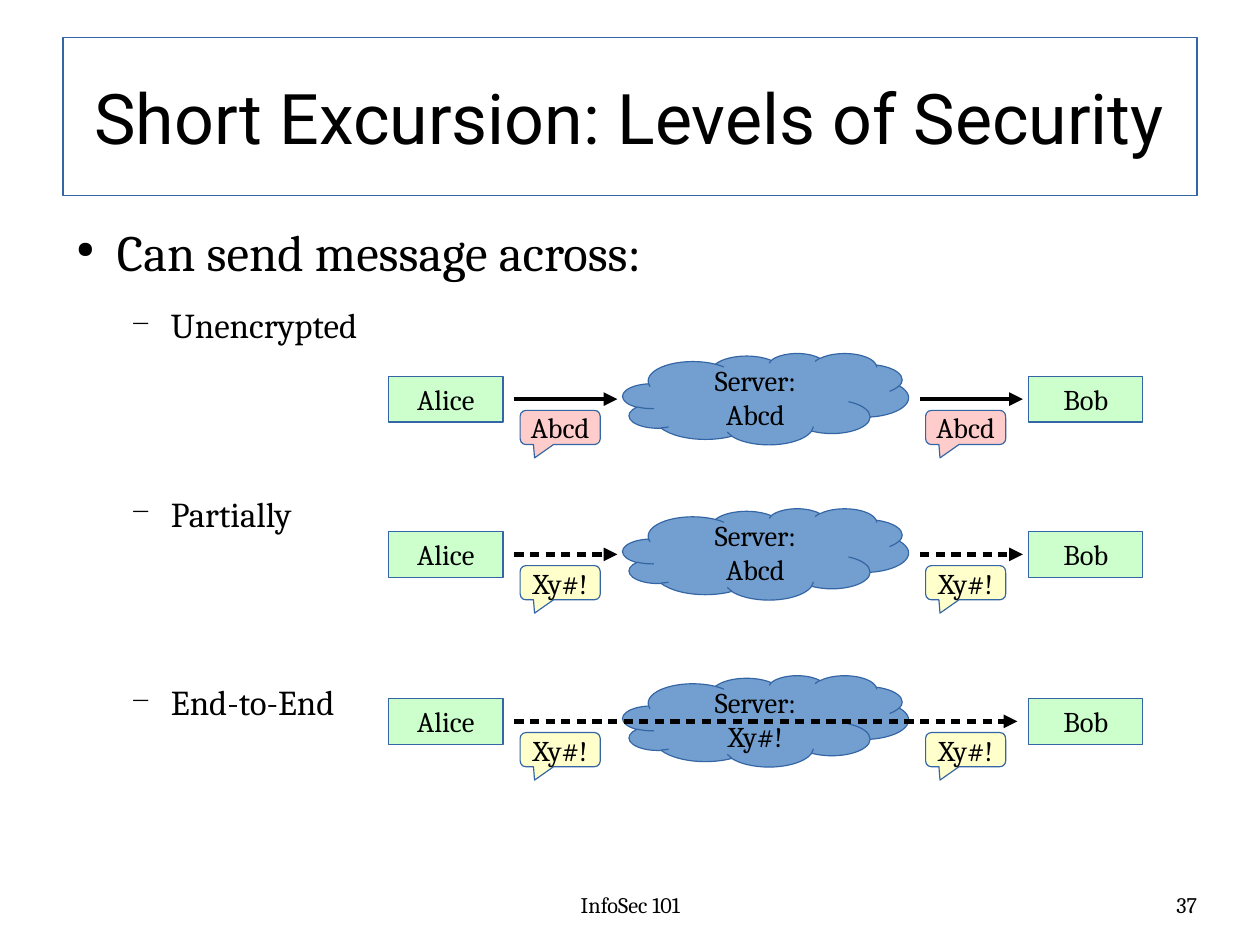
from dataclasses import dataclass

from lxml.etree import SubElement
from pptx import Presentation
from pptx.dml.color import RGBColor
from pptx.enum.shapes import MSO_CONNECTOR, MSO_SHAPE
from pptx.enum.text import MSO_ANCHOR, MSO_AUTO_SIZE, PP_ALIGN
from pptx.oxml.ns import qn
from pptx.shapes.autoshape import Shape
from pptx.slide import Slide
from pptx.text.text import TextFrame
from pptx.util import Cm, Pt

BLACK = RGBColor(0x00, 0x00, 0x00)
OUTLINE = RGBColor(0x34, 0x65, 0xA4)
CLOUD_BLUE = RGBColor(0x72, 0x9F, 0xCF)
PERSON_GREEN = RGBColor(0xCC, 0xFF, 0xCC)
PLAIN_PINK = RGBColor(0xFF, 0xCC, 0xCC)
CIPHER_YELLOW = RGBColor(0xFF, 0xFF, 0xCC)

TITLE_FONT = "Roboto"
TEXT_FONT = "Cambria"
PLAIN, CIPHER = "Abcd", "Xy#!"
SHORT_ARROWS = ((11.43, 13.72), (20.45, 22.73))
THROUGH_ARROW = ((11.43, 22.61),)


@dataclass(frozen=True)
class Bullet:
    text: str
    level: int
    size: float
    symbol: str
    symbol_percent: int
    before: float
    after: float


@dataclass(frozen=True)
class Exchange:
    """One message from Alice to Bob; top is the upper edge of their boxes in cm."""
    top: float
    sent: str
    seen_by_server: str
    bubble_fill: RGBColor
    dashed: bool
    arrows: tuple[tuple[float, float], ...]


BULLETS = (
    Bullet("Can send message across:", 0, 32, "●", 45, 0, 14.2),
    Bullet("Unencrypted", 1, 22, "−", 75, 0, 11.3),
    Bullet("Partially", 1, 22, "−", 75, 81, 11.3),
    Bullet("End-to-End", 1, 22, "−", 75, 81, 11.3),
)
EXCHANGES = (
    Exchange(8.36, PLAIN, PLAIN, PLAIN_PINK, False, SHORT_ARROWS),
    Exchange(11.81, CIPHER, PLAIN, CIPHER_YELLOW, True, SHORT_ARROWS),
    Exchange(15.52, CIPHER, CIPHER, CIPHER_YELLOW, True, THROUGH_ARROW),
)


def clear_margins(frame: TextFrame) -> None:
    frame.margin_left = frame.margin_right = frame.margin_top = frame.margin_bottom = 0


def format_text(frame: TextFrame, size: float, align: PP_ALIGN, font: str = TEXT_FONT) -> None:
    for para in frame.paragraphs:
        para.alignment = align
        for span in para.runs:
            span.font.name = font
            span.font.size = Pt(size)
            span.font.color.rgb = BLACK


def add_title(page: Slide, text: str) -> None:
    title = page.shapes.title
    title.left, title.top, title.width, title.height = Cm(1.4), Cm(0.84), Cm(25.2), Cm(3.5)
    title.line.color.rgb = OUTLINE
    title.line.width = Pt(0.79)
    frame = title.text_frame
    frame.text = text
    frame.word_wrap = True
    frame.auto_size = MSO_AUTO_SIZE.NONE
    frame.vertical_anchor = MSO_ANCHOR.MIDDLE
    clear_margins(frame)
    format_text(frame, 44, PP_ALIGN.CENTER, TITLE_FONT)


def add_text_box(page: Slide, left: float, top: float, width: float, height: float) -> TextFrame:
    frame = page.shapes.add_textbox(Cm(left), Cm(top), Cm(width), Cm(height)).text_frame
    frame.word_wrap = True
    clear_margins(frame)
    return frame


def add_bullets(page: Slide) -> None:
    frame = add_text_box(page, 1.4, 4.9, 25.2, 14.15)
    frame.text = "\n".join(bullet.text for bullet in BULLETS)
    for para, bullet in zip(frame.paragraphs, BULLETS):
        para.level = bullet.level
        para.space_before = Pt(bullet.before)
        para.space_after = Pt(bullet.after)
        properties = para._p.get_or_add_pPr()
        properties.set("marL", str(Cm(1.2 * (bullet.level + 1))))
        properties.set("indent", str(-Cm(0.9)))
        colour = SubElement(properties, qn("a:buClr"))
        SubElement(colour, qn("a:srgbClr"), val=str(BLACK))
        SubElement(properties, qn("a:buSzPct"), val=str(bullet.symbol_percent * 1000))
        SubElement(properties, qn("a:buChar"), char=bullet.symbol)
        para.alignment = PP_ALIGN.LEFT
        for span in para.runs:
            span.font.name = TEXT_FONT
            span.font.size = Pt(bullet.size)
            span.font.color.rgb = BLACK


def add_labelled_shape(page: Slide, kind: MSO_SHAPE, left: float, top: float, width: float,
                       height: float, fill: RGBColor, text: str) -> Shape:
    shape = page.shapes.add_shape(kind, Cm(left), Cm(top), Cm(width), Cm(height))
    shape.shadow.inherit = False
    shape.fill.solid()
    shape.fill.fore_color.rgb = fill
    shape.line.color.rgb = OUTLINE
    shape.line.width = Pt(0)
    frame = shape.text_frame
    frame.text = text
    frame.word_wrap = False
    frame.vertical_anchor = MSO_ANCHOR.MIDDLE
    format_text(frame, 18, PP_ALIGN.CENTER)
    return shape


def add_arrow(page: Slide, start: float, end: float, height: float, dashed: bool) -> None:
    arrow = page.shapes.add_connector(
        MSO_CONNECTOR.STRAIGHT, Cm(start), Cm(height), Cm(end), Cm(height))
    arrow.line.color.rgb = BLACK
    arrow.line.width = Pt(2.89)
    line = arrow.line._get_or_add_ln()
    if dashed:
        pattern = SubElement(line, qn("a:custDash"))
        SubElement(pattern, qn("a:ds"), d="200000", sp="140000")
    SubElement(line, qn("a:tailEnd"), type="triangle")
    SubElement(arrow._element.spPr, qn("a:effectLst"))


def add_exchange(page: Slide, exchange: Exchange) -> None:
    top = exchange.top
    for name, left in (("Alice", 8.64), ("Bob", 22.86)):
        add_labelled_shape(page, MSO_SHAPE.RECTANGLE, left, top, 2.54, 1.02, PERSON_GREEN, name)
    add_labelled_shape(page, MSO_SHAPE.CLOUD, 13.84, top - 0.51, 6.35, 2.03, CLOUD_BLUE,
                       f"Server:\n{exchange.seen_by_server}")
    for start, end in exchange.arrows:
        add_arrow(page, start, end, top + 0.51, exchange.dashed)
    for left in (11.56, 20.57):
        bubble = add_labelled_shape(page, MSO_SHAPE.ROUNDED_RECTANGULAR_CALLOUT, left, top + 0.76,
                                    1.78, 0.76, exchange.bubble_fill, exchange.sent)
        for index, value in enumerate((-0.32, 0.89, 0.17)):
            bubble.adjustments[index] = value


def add_footer(page: Slide, left: float, width: float, text: str, align: PP_ALIGN) -> None:
    frame = add_text_box(page, left, 19.81, width, 0.76)
    frame.text = text
    format_text(frame, 14, align)


def main() -> None:
    deck = Presentation()
    deck.slide_width, deck.slide_height = Cm(28), Cm(21)
    page = deck.slides.add_slide(deck.slide_layouts.get_by_name("Title Only"))
    add_title(page, "Short Excursion: Levels of Security")
    add_bullets(page)
    for exchange in EXCHANGES:
        add_exchange(page, exchange)
    add_footer(page, 9.58, 8.86, "InfoSec 101", PP_ALIGN.CENTER)
    add_footer(page, 20.07, 6.53, "37", PP_ALIGN.RIGHT)
    deck.save("out.pptx")


if __name__ == "__main__":
    main()
